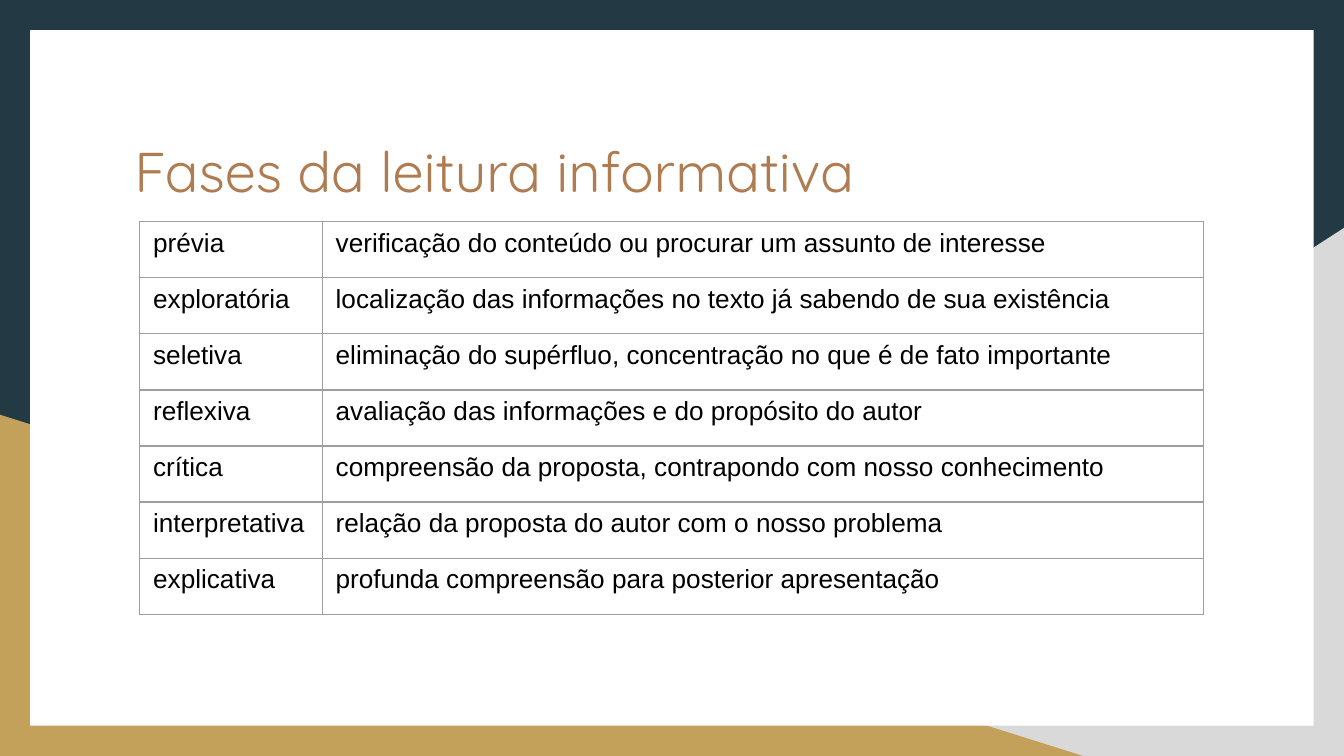
from lxml.etree import SubElement
from pptx import Presentation
from pptx.dml.color import RGBColor
from pptx.enum.shapes import MSO_SHAPE as Shape
from pptx.enum.text import MSO_ANCHOR as Anchor, PP_ALIGN as Align
from pptx.oxml.ns import qn
from pptx.util import Cm, Pt

HEADING = "Fases da leitura informativa"
PHASES = [
    ("prévia", "verificação do conteúdo ou procurar um assunto de interesse"),
    ("exploratória", "localização das informações no texto já sabendo de sua existência"),
    ("seletiva", "eliminação do supérfluo, concentração no que é de fato importante"),
    ("reflexiva", "avaliação das informações e do propósito do autor"),
    ("crítica", "compreensão da proposta, contrapondo com nosso conhecimento"),
    ("interpretativa", "relação da proposta do autor com o nosso problema"),
    ("explicativa", "profunda compreensão para posterior apresentação"),
]

NAVY = RGBColor(0x23, 0x3A, 0x44)
GREY = RGBColor(0xD9, 0xD9, 0xD9)
GOLD = RGBColor(0xC4, 0xA1, 0x5A)
WHITE = RGBColor(0xFF, 0xFF, 0xFF)
BROWN = RGBColor(0xAF, 0x7B, 0x51)
BLACK = RGBColor(0, 0, 0)
BORDER = RGBColor(0x9E, 0x9E, 0x9E)

SLIDE_W, SLIDE_H = 25.4, 14.29
MARGIN = 0.57
GREY_W, GREY_H = 15.44, 9.98
GOLD_W, GOLD_H = 20.47, 6.45
COLUMN_WIDTHS = (3.45, 16.66)
ROW_H = 1.06


def add_block(slide, kind, left, top, width, height, color):
    block = slide.shapes.add_shape(kind, Cm(left), Cm(top), Cm(width), Cm(height))
    block.shadow.inherit = False
    block.fill.solid()
    block.fill.fore_color.rgb = color
    block.line.fill.background()
    return block


def add_text(paragraph, text, font, size, color):
    paragraph.alignment = Align.LEFT
    run = paragraph.add_run()
    run.text = text
    run.font.name = font
    run.font.size = Pt(size)
    run.font.color.rgb = color


def add_borders(cell):
    properties = cell._tc.get_or_add_tcPr()
    for side in ("a:lnL", "a:lnR", "a:lnT", "a:lnB"):
        line = SubElement(properties, qn(side), w=str(Pt(0.75)))
        fill = SubElement(line, qn("a:solidFill"))
        SubElement(fill, qn("a:srgbClr"), val=str(BORDER))


def add_phases(slide):
    table = slide.shapes.add_table(
        len(PHASES), len(COLUMN_WIDTHS), Cm(2.64), Cm(4.19),
        Cm(sum(COLUMN_WIDTHS)), Cm(ROW_H * len(PHASES)),
    ).table
    table.first_row = table.horz_banding = False
    for column, width in zip(table.columns, COLUMN_WIDTHS):
        column.width = Cm(width)
    for row, phase in zip(table.rows, PHASES):
        row.height = Cm(ROW_H)
        for cell, text in zip(row.cells, phase):
            add_borders(cell)
            cell.fill.background()
            add_text(cell.text_frame.paragraphs[0], text, "Arial", 14, BLACK)


def main():
    deck = Presentation()
    deck.slide_width, deck.slide_height = Cm(SLIDE_W), Cm(SLIDE_H)
    slide = deck.slides.add_slide(deck.slide_layouts[5])
    slide.background.fill.solid()
    slide.background.fill.fore_color.rgb = NAVY

    grey_corner = add_block(slide, Shape.RIGHT_TRIANGLE, SLIDE_W - GREY_W,
                            SLIDE_H - GREY_H, GREY_W, GREY_H, GREY)
    grey_corner._element.spPr.xfrm.set("flipH", "1")
    add_block(slide, Shape.RIGHT_TRIANGLE, 0, SLIDE_H - GOLD_H, GOLD_W, GOLD_H, GOLD)
    add_block(slide, Shape.RECTANGLE, MARGIN, MARGIN,
              SLIDE_W - 2 * MARGIN, SLIDE_H - 2 * MARGIN, WHITE)

    heading = slide.shapes.title
    slide.shapes._spTree.append(heading._element)
    heading.left, heading.top = Cm(2.29), Cm(2.34)
    heading.width, heading.height = Cm(20.85), Cm(2.64)
    frame = heading.text_frame
    frame.word_wrap = True
    frame.vertical_anchor = Anchor.TOP
    frame.margin_left = frame.margin_right = Cm(0.25)
    frame.margin_top = frame.margin_bottom = Cm(0.25)
    add_text(frame.paragraphs[0], HEADING, "Quicksand", 30, BROWN)

    add_phases(slide)
    deck.save("out.pptx")


if __name__ == "__main__":
    main()
